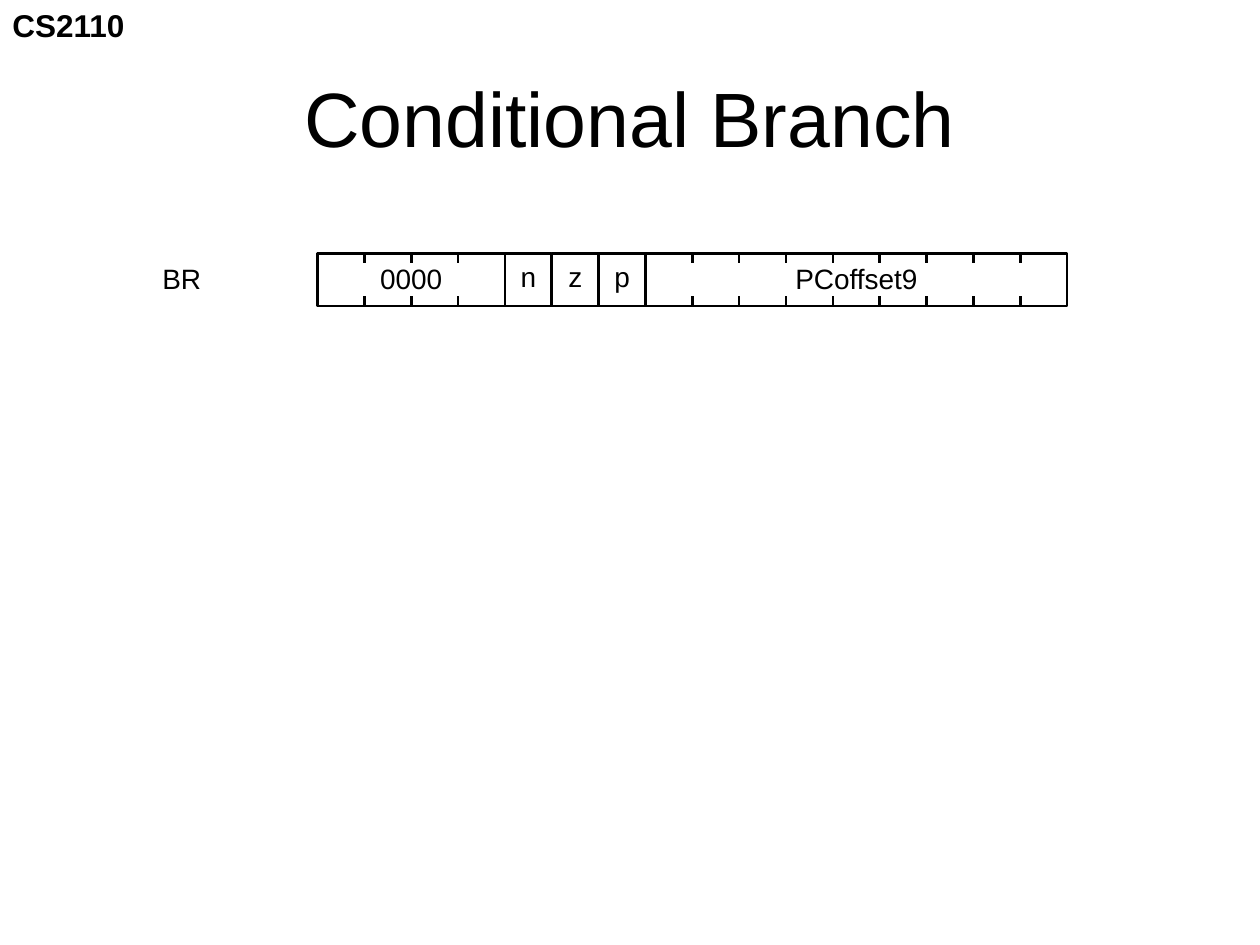
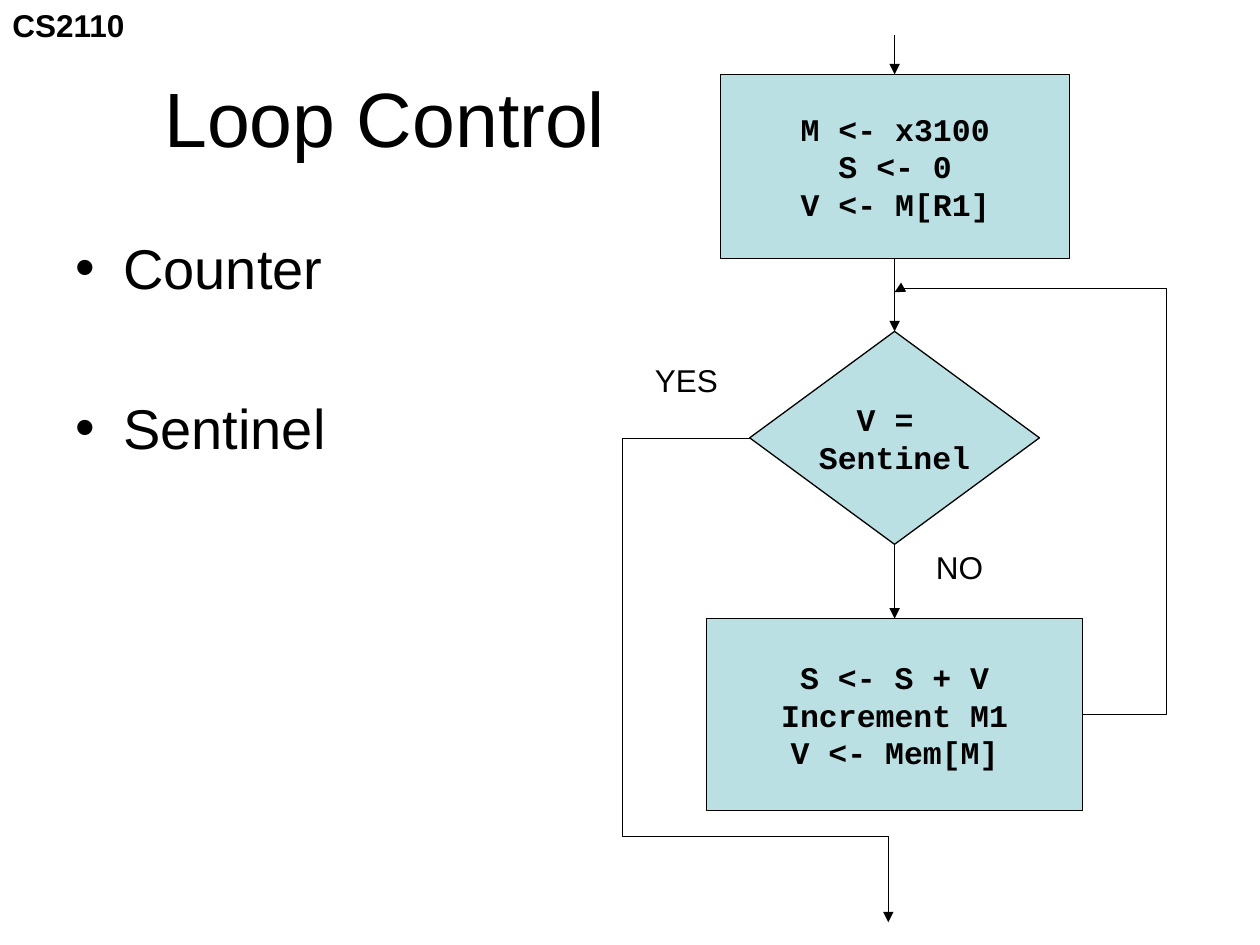
import dataclasses

import lxml.etree
import pptx
import pptx.dml.color
import pptx.enum.shapes
import pptx.enum.text
import pptx.oxml.ns
import pptx.util

Inches = pptx.util.Inches
Pt = pptx.util.Pt
qn = pptx.oxml.ns.qn
SHAPES = pptx.enum.shapes.MSO_SHAPE
CONNECTORS = pptx.enum.shapes.MSO_CONNECTOR
ALIGN = pptx.enum.text.PP_ALIGN
ANCHOR = pptx.enum.text.MSO_ANCHOR


@dataclasses.dataclass(frozen=True)
class Theme:
    ink: pptx.dml.color.RGBColor = pptx.dml.color.RGBColor(0x00, 0x00, 0x00)
    step_fill: pptx.dml.color.RGBColor = pptx.dml.color.RGBColor(0xBB, 0xE0, 0xE3)
    font: str = "Arial"
    code_font: str = "Courier New"
    title_size: int = 44
    body_size: int = 32
    label_size: int = 18
    field_size: int = 16
    field_line: float = 1.5
    flow_line: float = 0.75


THEME = Theme()


def write(shape, text, size, font=THEME.font, bold=False, align=ALIGN.LEFT,
          anchor=ANCHOR.TOP, wrap=True):
    """Fill a shape with one paragraph per line of text."""
    frame = shape.text_frame
    frame.text = text
    frame.word_wrap = wrap
    frame.vertical_anchor = anchor
    for paragraph in frame.paragraphs:
        paragraph.alignment = align
        paragraph.font.name = font
        paragraph.font.size = Pt(size)
        paragraph.font.bold = bold
        paragraph.font.color.rgb = THEME.ink


def add_label(slide, box, text, size, **style):
    """Add a one-line label that keeps to the size of its text."""
    label = slide.shapes.add_textbox(*map(Inches, box))
    write(label, text, size, wrap=False, **style)
    label.text_frame.auto_size = pptx.enum.text.MSO_AUTO_SIZE.SHAPE_TO_FIT_TEXT


def add_box(slide, kind, box, line_width, fill=None):
    shape = slide.shapes.add_shape(kind, *map(Inches, box))
    shape.shadow.inherit = False
    if fill is None:
        shape.fill.background()
    else:
        shape.fill.solid()
        shape.fill.fore_color.rgb = fill
    shape.line.color.rgb = THEME.ink
    shape.line.width = Pt(line_width)
    return shape


def add_line(slide, start, end, line_width, arrow=False, kind=CONNECTORS.STRAIGHT):
    line = slide.shapes.add_connector(kind, *map(Inches, (*start, *end)))
    line.line.color.rgb = THEME.ink
    line.line.width = Pt(line_width)
    properties = line._element.spPr
    if arrow:
        lxml.etree.SubElement(properties.find(qn("a:ln")), qn("a:tailEnd"), type="triangle")
    lxml.etree.SubElement(properties, qn("a:effectLst"))
    return line


def add_detour(slide, start, end, side_x, turn_y, arrow=False):
    """Add a bent line that runs sideways to side_x and back along turn_y."""
    detour = add_line(slide, start, end, THEME.flow_line, arrow, CONNECTORS.ELBOW)
    geometry = detour._element.spPr.find(qn("a:prstGeom"))
    geometry.set("prst", "bentConnector4")
    guides = geometry.find(qn("a:avLst"))
    if guides is None:
        guides = lxml.etree.SubElement(geometry, qn("a:avLst"))
    for number, (turn, first, last) in enumerate(zip((side_x, turn_y), start, end), 1):
        share = round((turn - first) / (last - first) * 100000)
        lxml.etree.SubElement(guides, qn("a:gd"), name=f"adj{number}", fmla=f"val {share}")


def add_titled_slide(deck, title, title_width):
    slide = deck.slides.add_slide(deck.slide_layouts[6])
    add_label(slide, (0, 0, 1.1, 0.4), "CS2110", THEME.label_size, bold=True)
    heading = slide.shapes.add_textbox(*map(Inches, (0.5, 0.3, title_width, 1.25)))
    write(heading, title, THEME.title_size, align=ALIGN.CENTER, anchor=ANCHOR.MIDDLE)
    return slide


def add_bullets(slide, box, items, gap):
    bullets = slide.shapes.add_textbox(*map(Inches, box))
    write(bullets, "\n".join(items), THEME.body_size)
    bullets.text_frame.margin_top = Inches(0.1)
    for index, paragraph in enumerate(bullets.text_frame.paragraphs):
        paragraph.space_before = Pt(gap if index else 0)
        properties = paragraph._p.get_or_add_pPr()
        properties.set("marL", str(Inches(0.38)))
        properties.set("indent", str(-Inches(0.38)))
        lxml.etree.SubElement(properties, qn("a:buFont"), typeface=THEME.font)
        lxml.etree.SubElement(properties, qn("a:buChar"), char="•")


def add_instruction(slide, left, top, width, fields):
    """Draw an instruction word; fields are (label, number of bits)."""
    height, tick = 0.42, 0.08
    bit_width = width / sum(bits for _, bits in fields)
    for label, bits in fields:
        field_width = bits * bit_width
        field = add_box(slide, SHAPES.RECTANGLE, (left, top, field_width, height),
                        THEME.field_line)
        if bits == 1:
            write(field, label, THEME.field_size, align=ALIGN.CENTER)
        else:
            for bit in range(1, bits):
                x = left + bit * bit_width
                for y in (top, top + height - tick):
                    add_line(slide, (x, y), (x, y + tick), THEME.field_line)
            add_label(slide, (left, top + 0.02, field_width, 0.37), label,
                      THEME.field_size, align=ALIGN.CENTER)
        left += field_width


def add_step(slide, kind, box, text):
    step = add_box(slide, kind, box, THEME.flow_line, THEME.step_fill)
    write(step, text, THEME.label_size, font=THEME.code_font, bold=True,
          align=ALIGN.CENTER, anchor=ANCHOR.MIDDLE, wrap=False)


def build_conditional_branch(deck):
    slide = add_titled_slide(deck, "Conditional Branch", 9)
    add_label(slide, (1.19, 2.03, 0.51, 0.37), "BR", THEME.field_size)
    add_instruction(slide, 2.52, 2.01, 5.95,
                    [("0000", 4), ("n", 1), ("z", 1), ("p", 1), ("PCoffset9", 9)])


def build_loop_control(deck):
    slide = add_titled_slide(deck, "Loop Control", 5.11)
    add_bullets(slide, (0.5, 1.75, 2.97, 5.58), ["Counter", "Sentinel"], gap=53)

    add_step(slide, SHAPES.FLOWCHART_PROCESS, (5.72, 0.59, 2.77, 1.46),
             "M <- x3100\nS <- 0\nV <- M[R1]")
    add_step(slide, SHAPES.FLOWCHART_DECISION, (5.95, 2.63, 2.3, 1.69),
             "V = \nSentinel")
    add_step(slide, SHAPES.FLOWCHART_PROCESS, (5.61, 4.91, 2.98, 1.52),
             "S <- S + V\nIncrement M1\nV <- Mem[M]")

    flow_x, exit_x = 7.1, 7.05
    for x, top, bottom in [(flow_x, 0.28, 0.59), (flow_x, 2.05, 2.63),
                           (flow_x, 4.32, 4.91), (exit_x, 6.91, 7.32)]:
        add_line(slide, (x, top), (x, bottom), THEME.flow_line, arrow=True)
    add_detour(slide, (8.59, 5.67), (flow_x, 2.32), side_x=9.26, turn_y=2.29, arrow=True)
    add_detour(slide, (5.95, 3.48), (exit_x, 6.91), side_x=4.94, turn_y=6.64)

    add_label(slide, (7.33, 4.3, 0.58, 0.4), "NO", THEME.label_size)
    add_label(slide, (5.1, 2.82, 0.7, 0.4), "YES", THEME.label_size)


def main():
    deck = pptx.Presentation()
    deck.slide_width = Inches(10)
    deck.slide_height = Inches(7.5)
    build_conditional_branch(deck)
    build_loop_control(deck)
    deck.save("out.pptx")


if __name__ == "__main__":
    main()
